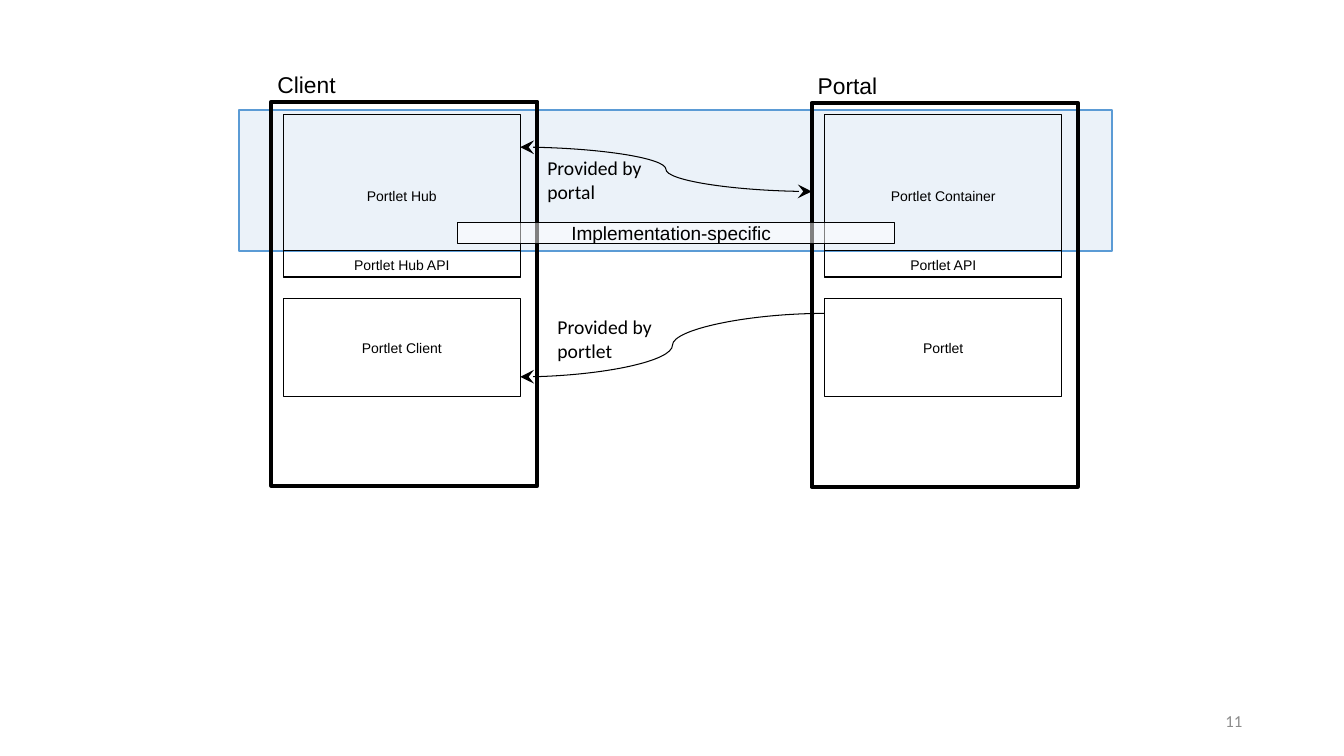
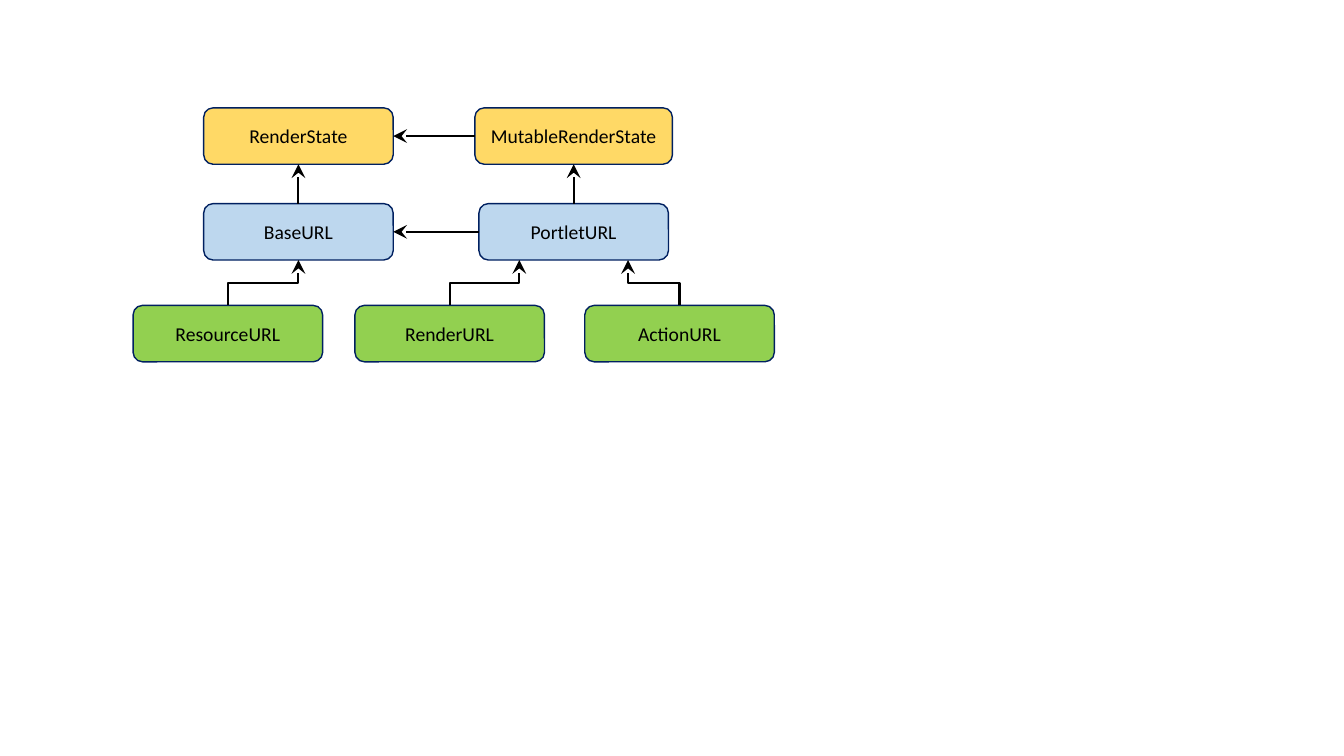
from lxml import etree
from pptx import Presentation
from pptx.dml.color import RGBColor
from pptx.enum.shapes import MSO_CONNECTOR, MSO_SHAPE
from pptx.enum.text import MSO_ANCHOR, PP_ALIGN
from pptx.oxml.ns import qn
from pptx.util import Inches, Pt

RECT, ROUNDED = MSO_SHAPE.RECTANGLE, MSO_SHAPE.ROUNDED_RECTANGLE
STRAIGHT, ELBOW, CURVE = MSO_CONNECTOR.STRAIGHT, MSO_CONNECTOR.ELBOW, MSO_CONNECTOR.CURVE
LEFT, CENTER, RIGHT = PP_ALIGN.LEFT, PP_ALIGN.CENTER, PP_ALIGN.RIGHT
TOP, MIDDLE, BOTTOM = MSO_ANCHOR.TOP, MSO_ANCHOR.MIDDLE, MSO_ANCHOR.BOTTOM

BLACK = RGBColor(0x00, 0x00, 0x00)
WHITE = RGBColor(0xFF, 0xFF, 0xFF)
GREY = RGBColor(0x8C, 0x8C, 0x8C)
BLUE = RGBColor(0x5B, 0x9B, 0xD5)
PALE_BLUE = RGBColor(0xBD, 0xD7, 0xEE)
NAVY = RGBColor(0x00, 0x20, 0x60)
GOLD = RGBColor(0xFF, 0xD9, 0x66)
GREEN = RGBColor(0x92, 0xD0, 0x50)

DEFAULT_INSETS = (0.1, 0.05, 0.1, 0.05)
TIGHT_INSETS = (0, 0.01, 0, 0)
TOP_SIDE, LEFT_SIDE, BOTTOM_SIDE, RIGHT_SIDE = range(4)


class Deck:
    def __init__(self):
        self.prs = Presentation()
        self.prs.slide_width = Inches(13.33)
        self.prs.slide_height = Inches(7.5)
        self.slide = None

    def new_slide(self):
        self.slide = self.prs.slides.add_slide(self.prs.slide_layouts[6])

    def set_text(self, shape, lines, size, font="Calibri", color=BLACK, align=LEFT,
                 anchor=MIDDLE, insets=DEFAULT_INSETS, wrap=True):
        frame = shape.text_frame
        frame.word_wrap = wrap
        frame.vertical_anchor = anchor
        (frame.margin_left, frame.margin_top,
         frame.margin_right, frame.margin_bottom) = map(Inches, insets)
        for index, line in enumerate(lines):
            paragraph = frame.add_paragraph() if index else frame.paragraphs[0]
            paragraph.alignment = align
            run = paragraph.add_run()
            run.text = line
            run.font.name = font
            run.font.size = Pt(size)
            run.font.color.rgb = color

    def label(self, box, lines, size, **style):
        self.set_text(self.slide.shapes.add_textbox(*map(Inches, box)), lines, size, **style)

    def box(self, box, kind=RECT, fill=None, opacity=None, line=BLACK, weight=0.75):
        shape = self.slide.shapes.add_shape(kind, *map(Inches, box))
        shape.shadow.inherit = False
        shape.line.color.rgb = line
        shape.line.width = Pt(weight)
        if fill is None:
            shape.fill.background()
            return shape
        shape.fill.solid()
        shape.fill.fore_color.rgb = fill
        if opacity is not None:
            color = shape._element.spPr.find(qn("a:solidFill")).find(qn("a:srgbClr"))
            etree.SubElement(color, qn("a:alpha"), val=str(opacity * 1000))
        return shape

    def arrow(self, kind, begin, end, weight, arrowheads):
        connector = self.slide.shapes.add_connector(kind, *map(Inches, (*begin, *end)))
        connector.line.color.rgb = BLACK
        connector.line.width = Pt(weight)
        outline = connector.line._get_or_add_ln()
        for arrowhead in arrowheads:
            etree.SubElement(outline, qn(f"a:{arrowhead}"), type="stealth", w="lg", len="lg")
        etree.SubElement(connector._element.spPr, qn("a:effectLst"))
        return connector

    def inherit_arrow(self, child, child_side, parent, parent_side):
        connector = self.arrow(STRAIGHT, (0, 0), (1, 1), 1.5, ["tailEnd"])
        connector.begin_connect(child, child_side)
        connector.end_connect(parent, parent_side)

    def rising_elbow(self, begin, end):
        (x1, y1), (x2, y2) = begin, end
        mid_x, mid_y = (x1 + x2) / 2, (y1 + y2) / 2
        half_run, half_rise = (x2 - x1) / 2, (y1 - y2) / 2
        connector = self.arrow(ELBOW, (mid_x + half_rise, mid_y + half_run),
                               (mid_x - half_rise, mid_y - half_run), 1.5, ["tailEnd"])
        connector._element.spPr.find(qn("a:xfrm")).set("rot", str(90 * 60000))

    def system(self, name, left, top, parts_left, parts):
        self.box((left, top, 2.64, 3.81), weight=2.83)
        self.label((left + 0.06, top - 0.3, 0.78, 0.26), [name], 16.3, font="Arial",
                   anchor=BOTTOM, insets=(0, 0.02, 0, 0))
        for part, (part_top, height) in zip(parts, [(1.14, 1.6), (2.49, 0.26), (2.96, 0.97)]):
            shape = self.box((parts_left, part_top, 2.35, height))
            self.set_text(shape, [part], 10, font="Arial", align=CENTER, insets=TIGHT_INSETS)

    def class_box(self, name, left, top, fill, width=1.88):
        shape = self.box((left, top, width, 0.56), ROUNDED, fill, line=NAVY, weight=1)
        self.set_text(shape, [name], 14, align=CENTER)
        return shape


def architecture_slide(deck):
    deck.new_slide()
    deck.box((2.37, 1.09, 8.66, 1.4), fill=PALE_BLUE, opacity=30, line=BLUE, weight=1)
    deck.label((9.42, 6.95, 3, 0.4), ["11"], 12, color=GREY, align=RIGHT)
    deck.system("Client", 2.69, 1.01, 2.81, ["Portlet Hub", "Portlet Hub API", "Portlet Client"])
    deck.system("Portal", 8.05, 1.02, 8.18, ["Portlet Container", "Portlet API", "Portlet"])
    deck.arrow(CURVE, (5.16, 1.46), (8.05, 1.9), 0.75, ["headEnd", "tailEnd"])
    protocol = deck.box((4.54, 2.21, 4.33, 0.21), fill=WHITE, opacity=50)
    deck.set_text(protocol, ["Implementation-specific"], 13.6, font="Arial", align=CENTER,
                  anchor=BOTTOM, insets=(0, 0.01, 0.1, 0))
    deck.arrow(CURVE, (5.16, 3.74), (8.18, 3.11), 0.75, ["headEnd"])
    for provider, left, top in [("portlet", 5.43, 3.08), ("portal", 5.33, 1.5)]:
        deck.label((left, top, 1.15, 0.57), ["Provided by", provider], 14,
                   anchor=TOP, wrap=False)


def class_slide(deck):
    deck.new_slide()
    render_state = deck.class_box("RenderState", 2.02, 1.07, GOLD)
    mutable_state = deck.class_box("MutableRenderState", 4.71, 1.07, GOLD, width=1.96)
    base_url = deck.class_box("BaseURL", 2.02, 2.02, PALE_BLUE)
    portlet_url = deck.class_box("PortletURL", 4.75, 2.02, PALE_BLUE)
    for name, left, parent_x in [("ResourceURL", 1.32, 2.96), ("RenderURL", 3.52, 5.15),
                                 ("ActionURL", 5.8, 6.23)]:
        deck.class_box(name, left, 3.03, GREEN)
        deck.rising_elbow((left + 0.94, 3.03), (parent_x, 2.58))
    for child, parent in [(base_url, render_state), (portlet_url, mutable_state)]:
        deck.inherit_arrow(child, TOP_SIDE, parent, BOTTOM_SIDE)
    for child, parent in [(portlet_url, base_url), (mutable_state, render_state)]:
        deck.inherit_arrow(child, LEFT_SIDE, parent, RIGHT_SIDE)


def main():
    deck = Deck()
    architecture_slide(deck)
    class_slide(deck)
    deck.prs.save("out.pptx")


if __name__ == "__main__":
    main()
